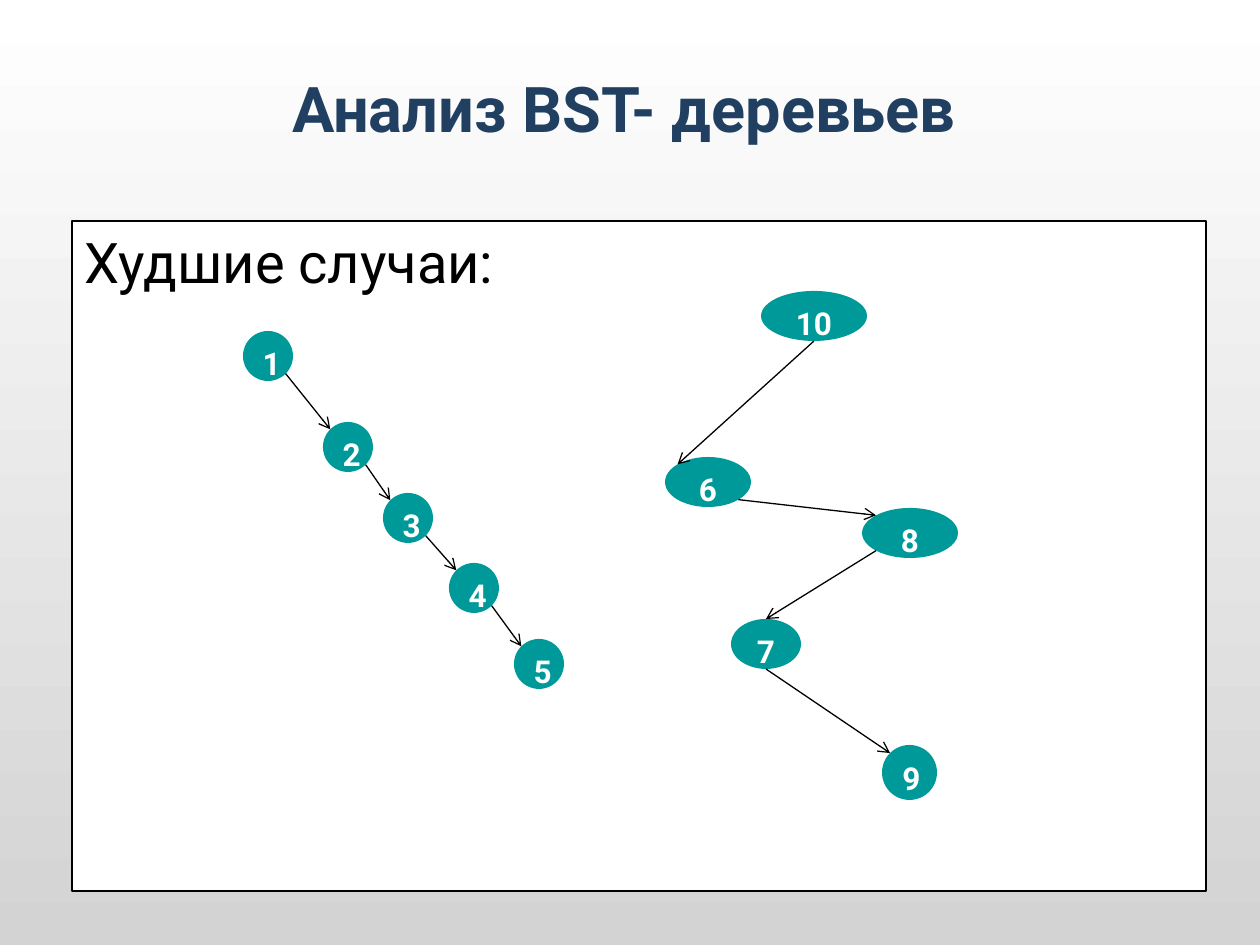
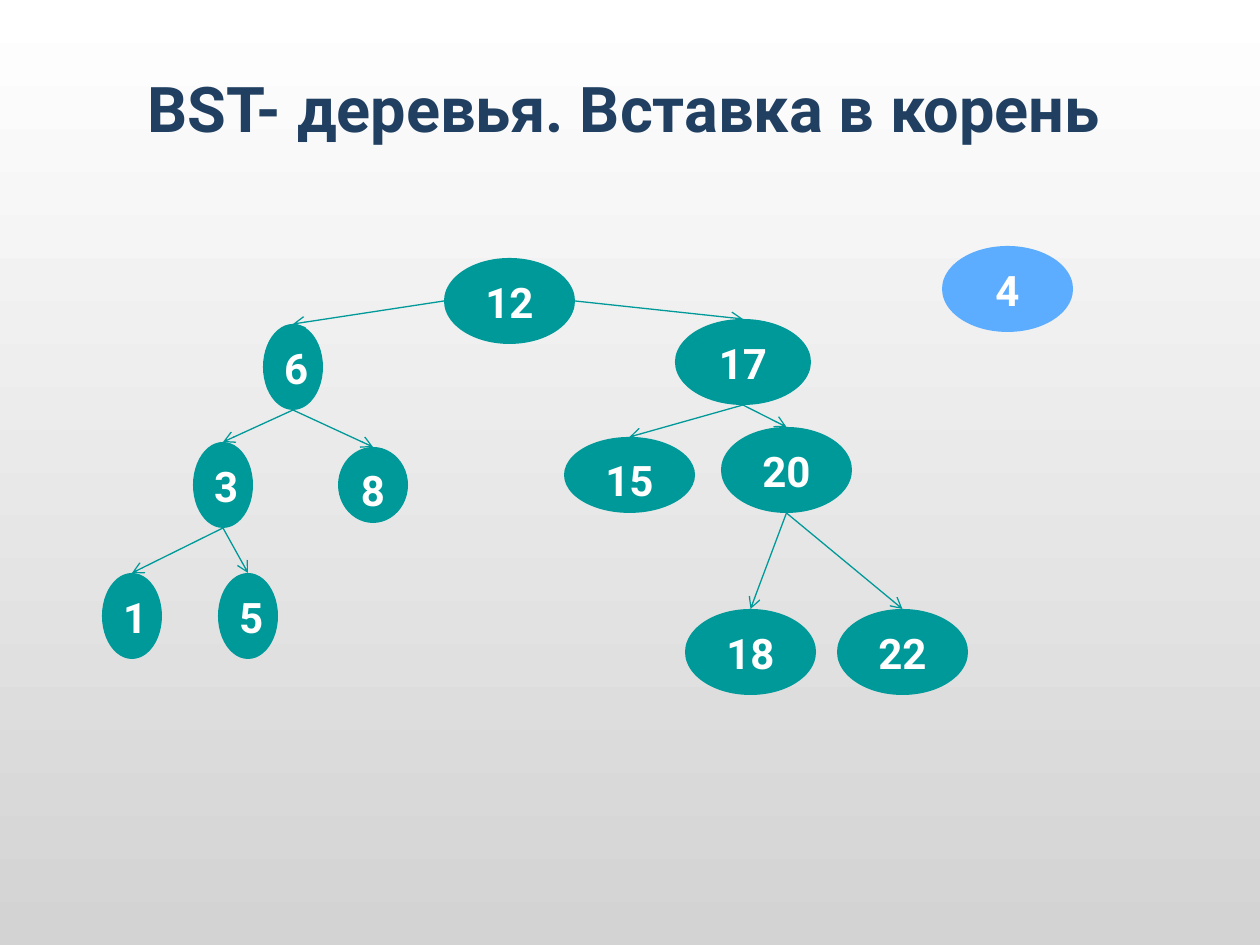
import math

import pptx
import pptx.dml.color
import pptx.enum.shapes
import pptx.enum.text
import pptx.oxml
import pptx.oxml.ns
import pptx.util

SCALE = 914400 / 126  # EMU in one px
FONT = "Roboto"
NAVY, TEAL, BLUE = "203F61", "009999", "5CADFF"
BLACK, WHITE, GREY = "000000", "FFFFFF", "D3D3D3"
SHAPE = pptx.enum.shapes.MSO_SHAPE
ALIGN = pptx.enum.text.PP_ALIGN
ANCHOR = pptx.enum.text.MSO_ANCHOR

# Where an arrow may touch an ellipse, in half widths and half heights
DIAG = math.sqrt(0.5)
SITES = {
    "top": (0, -1), "bottom": (0, 1), "left": (-1, 0), "right": (1, 0),
    "nw": (-DIAG, -DIAG), "sw": (-DIAG, DIAG), "se": (DIAG, DIAG),
}


def px(*vals):
    return [pptx.util.Emu(round(val * SCALE)) for val in vals]


def rgb(code):
    return pptx.dml.color.RGBColor.from_string(code)


def write(frame, text, size, color, bold=True, align=ALIGN.CENTER, gap=0.0):
    """Set one paragraph; gap is the space before it, as a share of the size."""
    frame.text = text
    para = frame.paragraphs[0]
    para.alignment = align
    para.space_before = pptx.util.Pt(size * gap)
    font = para.font
    font.name, font.size, font.bold = FONT, pptx.util.Pt(size), bold
    font.color.rgb = rgb(color)


def add_slide(prs, text):
    slide = prs.slides.add_slide(prs.slide_layouts[5])
    title = slide.shapes.title
    title.left, title.top, title.width, title.height = px(57, 30, 1134, 154)
    title.text_frame.vertical_anchor = ANCHOR.MIDDLE
    write(title.text_frame, text, 36, NAVY)
    return slide


def add_form(slide, kind, box, fill):
    form = slide.shapes.add_shape(kind, *px(*box))
    form.shadow.inherit = False
    form.fill.solid()
    form.fill.fore_color.rgb = rgb(fill)
    form.line.fill.background()
    form.text_frame.vertical_anchor = ANCHOR.TOP
    return form


def add_node(slide, box, text, size, fill=TEAL):
    node = add_form(slide, SHAPE.OVAL, box, fill)
    write(node.text_frame, text, size, WHITE, gap=0.2)
    return node


def site(node, name):
    """Return the point of an ellipse that the name stands for."""
    dx, dy = SITES[name]
    return (round(node.left + node.width * (1 + dx) / 2),
            round(node.top + node.height * (1 + dy) / 2))


def add_arrow(slide, start, leave, end, enter, color):
    link = slide.shapes.add_connector(
        pptx.enum.shapes.MSO_CONNECTOR.STRAIGHT,
        *site(start, leave), *site(end, enter))
    if enter == "top":
        link.end_connect(end, 0)
    link.line.width = pptx.util.Pt(0.75)
    link.line.color.rgb = rgb(color)
    props = link._element.spPr
    qn = pptx.oxml.ns.qn
    head = pptx.oxml.parse_xml(
        f'<a:tailEnd {pptx.oxml.ns.nsdecls("a")} type="arrow"/>')
    props.find(qn("a:ln")).append(head)
    props.append(props.makeelement(qn("a:effectLst"), {}))


def add_tree(slide, box, nodes, edges, size, color):
    """Draw nodes, placed from the box's corner, and the arrows joining them."""
    left, top = box[:2]
    made = {key: add_node(slide, (left + x, top + y, w, h), key, size)
            for key, (x, y, w, h) in nodes.items()}
    for start, leave, end, enter in edges:
        add_arrow(slide, made[start], leave, made[end], enter, color)


def add_panel(slide, box, text):
    panel = add_form(slide, SHAPE.RECTANGLE, box, WHITE)
    panel.line.color.rgb = rgb(BLACK)
    panel.line.width = pptx.util.Pt(0.75)
    write(panel.text_frame, text, 32, BLACK, False, ALIGN.LEFT, 0.2)


def worst_cases(prs):
    slide = add_slide(prs, "Анализ BST- деревьев")
    box = (72, 221, 1134, 670)
    add_panel(slide, box, "Худшие случаи:")

    spots = [(171, 110), (251, 201), (311, 272), (377, 342), (442, 418)]
    chain = {str(num): (x, y, 50, 50) for num, (x, y) in enumerate(spots, 1)}
    keys = list(chain)
    steps = [(a, "se", b, "nw") for a, b in zip(keys, keys[1:])]
    add_tree(slide, box, chain, steps, 18, BLACK)

    zigzag = {
        "10": (689, 70, 106, 50),
        "6": (593, 236, 86, 50),
        "8": (790, 287, 96, 50),
        "7": (659, 398, 70, 50),
        "9": (810, 524, 55, 55),
    }
    turns = [
        ("10", "bottom", "6", "nw"),
        ("6", "se", "8", "nw"),
        ("8", "sw", "7", "top"),
        ("7", "bottom", "9", "nw"),
    ]
    add_tree(slide, box, zigzag, turns, 18, BLACK)


def root_insert(prs):
    slide = add_slide(prs, "BST- деревья. Вставка в корень")
    box = (102, 246, 971, 449)
    wide, slim = (131, 86), (60, 86)
    nodes = {
        "12": (342, 12, *wide),
        "6": (161, 78, *slim),
        "17": (573, 73, 136, 86),
        "3": (91, 196, *slim),
        "8": (236, 201, 70, 76),
        "15": (462, 191, 131, 76),
        "20": (619, 181, *wide),
        "1": (0, 327, *slim),
        "5": (116, 327, *slim),
        "18": (583, 363, *wide),
        "22": (735, 363, *wide),
    }
    pairs = {"6": ("3", "8"), "17": ("15", "20"),
             "3": ("1", "5"), "20": ("18", "22")}
    edges = [("12", "left", "6", "top"), ("12", "right", "17", "top")]
    edges += [(key, "bottom", kid, "top")
              for key, kids in pairs.items() for kid in kids]
    add_tree(slide, box, nodes, edges, 24, TEAL)
    add_node(slide, (box[0] + 840, box[1], *wide), "4", 24, BLUE)


def set_back(master):
    fill = master.background.fill
    fill.gradient()
    fill.gradient_angle = 270
    for stop, color in zip(fill.gradient_stops, (WHITE, GREY)):
        stop.color.rgb = rgb(color)


def main():
    prs = pptx.Presentation()
    prs.slide_width, prs.slide_height = px(1260, 945)
    set_back(prs.slide_master)
    worst_cases(prs)
    root_insert(prs)
    prs.save("out.pptx")


if __name__ == "__main__":
    main()
